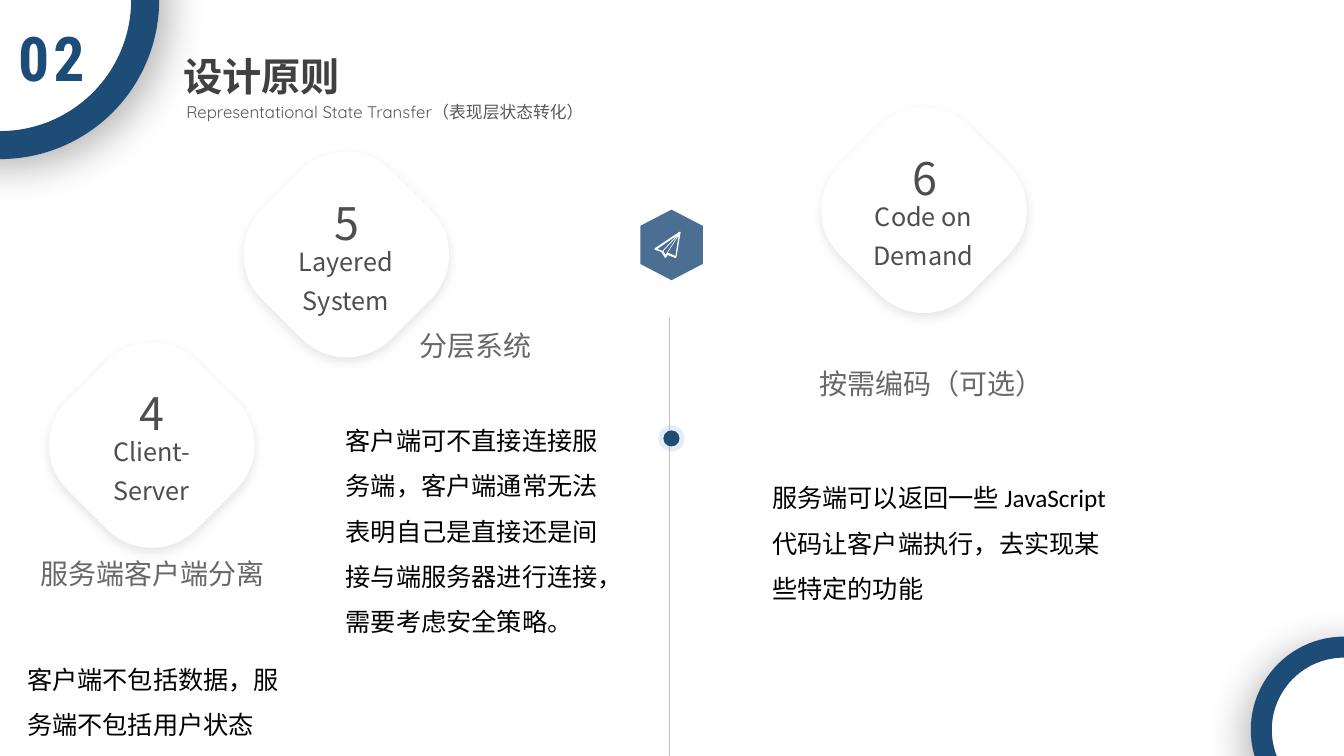
from pptx import Presentation, util as u
from pptx.dml import color
from pptx.enum import shapes, text
from pptx.oxml import ns, parse_xml

NAVY, WHITE, GREY = "1D4C77", "FFFFFF", "4F4D50"
SANS = "Noto Sans CJK SC"
KIND = shapes.MSO_SHAPE
ALIGN = text.PP_ALIGN


def rgb(code):
    return color.RGBColor.from_string(code)


class Deck:
    """Holds the style and the current slide, and draws each kind of element."""

    def __init__(self):
        self.prs = Presentation()
        self.prs.slide_width = u.Inches(13.33)
        self.prs.slide_height = u.Inches(7.5)
        self.slide = self.prs.slides.add_slide(self.prs.slide_layouts[6])
        self.items = self.slide.shapes
        self.slide.background.fill.solid()
        self.slide.background.fill.fore_color.rgb = rgb(WHITE)

    def paint(self, item, fill, alpha=None, edge=None):
        item.shadow.inherit = False
        item.fill.solid()
        item.fill.fore_color.rgb = rgb(fill)
        if alpha:
            tone = item._element.spPr.find(".//" + ns.qn("a:srgbClr"))
            tone.append(parse_xml(f'<a:alpha {ns.nsdecls("a")} val="{alpha * 1000}"/>'))
        if edge:
            item.line.color.rgb = rgb(NAVY)
            item.line.width = u.Pt(edge)
        else:
            item.line.fill.background()

    def shape(self, kind, box, fill, alpha=None, edge=None, turn=0, adj=None, shade=None):
        item = self.items.add_shape(kind, *map(u.Inches, box))
        item.rotation = turn
        if adj:
            item.adjustments[0] = adj
        self.paint(item, fill, alpha, edge)
        if shade:
            self.shade(item, *shade)

    def shade(self, item, alpha, blur, dist, angle):
        item._element.spPr.find(ns.qn("a:effectLst")).append(parse_xml(
            f'<a:outerShdw {ns.nsdecls("a")} blurRad="{u.Pt(blur)}" dist="{u.Pt(dist)}" '
            f'dir="{angle * 60000}" algn="ctr" rotWithShape="0"><a:srgbClr val="000000">'
            f'<a:alpha val="{alpha * 1000}"/></a:srgbClr></a:outerShdw>'))

    def line(self, x, top, end):
        item = self.items.add_connector(
            shapes.MSO_CONNECTOR.STRAIGHT, *map(u.Inches, (x, top, x, end)))
        item.line.color.rgb = rgb("BFBFBF")
        item.line.width = u.Pt(0.5)
        item._element.spPr.append(parse_xml(f'<a:effectLst {ns.nsdecls("a")}/>'))

    def outline(self, loops, fill):
        first, *rest = loops
        pen = self.items.build_freeform(*first[0], scale=u.Inches(0.01))
        pen.add_line_segments(first[1:], close=True)
        for loop in rest:
            pen.move_to(*loop[0])
            pen.add_line_segments(loop[1:], close=True)
        self.paint(pen.convert_to_shape(), fill)

    def text(self, box, words, size, tone, font=SANS, align=None, space=None,
             bold=False, wrap=True, grow=True, track=None):
        frame = self.items.add_textbox(*map(u.Inches, box)).text_frame
        frame.word_wrap = wrap
        fit = text.MSO_AUTO_SIZE
        frame.auto_size = fit.SHAPE_TO_FIT_TEXT if grow else fit.NONE
        para = frame.paragraphs[0]
        para.alignment = align
        para.line_spacing = space
        run = para.add_run()
        run.text = words
        run.font.size = u.Pt(size)
        run.font.bold = bold
        run.font.name = font
        run.font.color.rgb = rgb(tone)
        props = run.font._element
        props.find(ns.qn("a:latin")).addnext(
            parse_xml(f'<a:ea {ns.nsdecls("a")} typeface="{SANS}"/>'))
        if track:
            props.set("spc", str(track * 100))

    def badge(self, x, y, num, name):
        self.shape(KIND.ROUNDED_RECTANGLE, (x, y, 1.81, 1.81), WHITE,
                   turn=45, adj=0.347, shade=(10, 8, 3, 90))
        self.text((x + 0.14, y + 0.68, 1.52, 0.81), name, 18, GREY,
                  align=ALIGN.CENTER, space=1.3, grow=False)
        self.text((x + 0.58, y + 0.11, 0.66, 0.47), num, 32, GREY,
                  align=ALIGN.CENTER, space=1.3, grow=False)

    def rule(self, badge, head, body):
        self.badge(*badge)
        self.text(*head, 20, "686769", align=ALIGN.JUSTIFY, space=1.3)
        self.text(*body, 18, "000000", font="Calibri", space=1.5)


PLANE = [
    [(670, 254), (663, 251), (662, 251), (673, 234)],
    [(658, 249), (673, 233), (660, 253)],
    [(652, 247), (671, 234), (657, 249)],
    [(675, 230), (674, 230), (650, 246), (649, 247), (650, 248), (656, 250),
     (659, 255), (660, 256), (661, 255), (662, 253), (670, 256), (671, 255), (675, 231)],
]
RULES = [
    ((0.6, 3.51, "4", "Client-Server"),
     ((0.3, 5.37, 3.23, 0.5), "服务端客户端分离"),
     ((0.17, 6.39, 2.79, 0.96), "客户端不包括数据，服务端不包括用户状态")),
    ((8.26, 1.18, "6", "Code on Demand"),
     ((8.03, 3.49, 2.46, 0.5), "按需编码（可选）"),
     ((7.56, 4.59, 3.62, 1.41),
      "服务端可以返回一些 JavaScript 代码让客户端执行，去实现某些特定的功能")),
    ((2.53, 1.62, "5", "Layered System"),
     ((4.06, 3.11, 1.84, 0.5), "分层系统"),
     ((3.33, 4.02, 2.79, 2.32),
      "客户端可不直接连接服务端，客户端通常无法表明自己是直接还是间接与端服务器进行连接，需要考虑安全策略。")),
]


def main():
    deck = Deck()
    deck.line(6.64, 3.15, 7.78)
    deck.shape(KIND.OVAL, (6.53, 4.22, 0.26, 0.26), "9FB8D6", alpha=26)
    deck.shape(KIND.OVAL, (6.58, 4.27, 0.16, 0.16), NAVY)
    deck.shape(KIND.HEXAGON, (6.31, 2.12, 0.7, 0.62), NAVY, alpha=80, turn=90, adj=0.26)
    deck.outline(PLANE, WHITE)
    deck.shape(KIND.OVAL, (-1.44, -1.44, 2.88, 2.88), WHITE, edge=20, shade=(30, 30, 8, 45))
    deck.shape(KIND.OVAL, (12.51, 6.42, 1.64, 1.64), WHITE, edge=15, shade=(30, 30, 8, 125))
    deck.text((0, 0.15, 1.02, 0.84), "02", 44, NAVY, font="Roboto Condensed",
              align=ALIGN.CENTER, bold=True, track=3)
    deck.text((1.75, 0.96, 6.54, 0.3), "Representational State Transfer（表现层状态转化）",
              12, "595959", font="Quicksand")
    deck.text((1.72, 0.47, 1.77, 0.57), "设计原则", 28, "414141", font="Calibri",
              bold=True, wrap=False)
    for rule in RULES:
        deck.rule(*rule)
    deck.prs.save("out.pptx")


if __name__ == "__main__":
    main()
